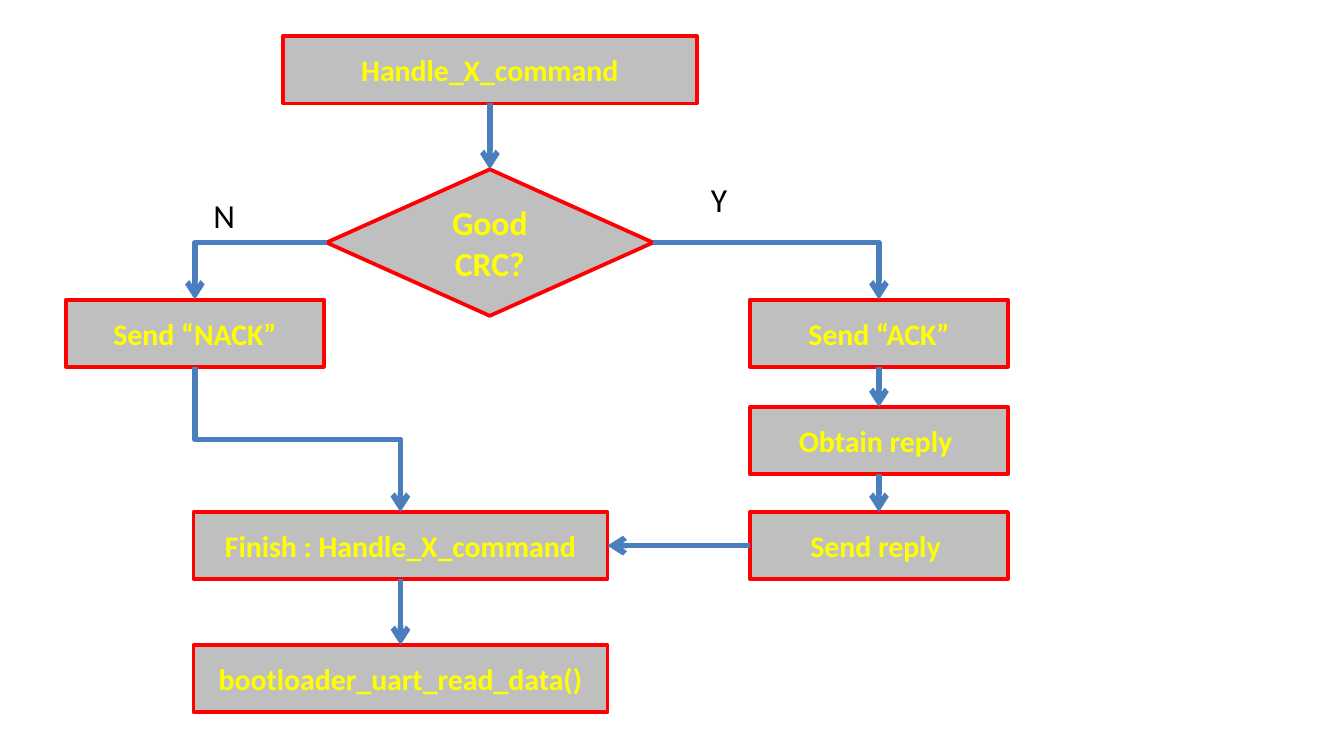
from lxml import etree
from pptx import Presentation
from pptx import util as u
from pptx.dml.color import RGBColor
from pptx.enum import shapes, text
from pptx.oxml.ns import qn

COLORS = {"fill": "BFBFBF", "border": "FF0000", "node_text": "FFFF00",
          "arrow": "4B7EBC", "label": "000000"}
UNIT = 0.1  # inches per grid column and row
TOP, LEFT, BOTTOM, RIGHT = range(4)  # connection sites of a node
NARROW, WIDE, HEIGHT = 19.2, 30.8, 5
LEFT_COLUMN, MIDDLE_COLUMN, RIGHT_COLUMN = 0, 9.5, 50.9
RECT, DIAMOND = shapes.MSO_SHAPE.RECTANGLE, shapes.MSO_SHAPE.DIAMOND

# name: text, preset, column, row, width, height, text size
NODES = {
    "start": ("Handle_X_command", RECT, 16.15, 0, WIDE, HEIGHT, 16),
    "check": ("Good CRC?", DIAMOND, 19.4, 9.9, 24.3, 10.9, 18),
    "nack": ("Send “NACK”", RECT, LEFT_COLUMN, 19.6, NARROW, HEIGHT, 16),
    "ack": ("Send “ACK”", RECT, RIGHT_COLUMN, 19.6, NARROW, HEIGHT, 16),
    "obtain": ("Obtain reply ", RECT, RIGHT_COLUMN, 27.6, NARROW, HEIGHT, 16),
    "reply": ("Send reply ", RECT, RIGHT_COLUMN, 35.4, NARROW, HEIGHT, 16),
    "finish": ("Finish : Handle_X_command", RECT, MIDDLE_COLUMN, 35.4, WIDE, HEIGHT, 16),
    "read": ("bootloader_uart_read_data()", RECT, MIDDLE_COLUMN, 45.3, WIDE, HEIGHT, 16),
}
STRAIGHT_ARROWS = [
    ("start", BOTTOM, "check", TOP), ("ack", BOTTOM, "obtain", TOP),
    ("obtain", BOTTOM, "reply", TOP), ("reply", LEFT, "finish", RIGHT),
    ("finish", BOTTOM, "read", TOP),
]
BRANCHES = [("check", RIGHT, "ack", TOP), ("check", LEFT, "nack", TOP)]
# text, column, row, width, height
LABELS = [("N", 10, 11.3, 3.6, 4), ("Y", 47, 10.1, 3.2, 4)]


def color(name):
    return RGBColor.from_string(COLORS[name])


def place(box, column, row, width, height):
    """Turn grid values inside the box into slide lengths."""
    values = (box[0] + column, box[1] + row, width, height)
    return [u.Inches(value * UNIT) for value in values]


def write(shape, words, size, color_name, bold=False):
    shape.text_frame.text = words
    font = shape.text_frame.paragraphs[0].runs[0].font
    font.name, font.size, font.bold = "Calibri", u.Pt(size), bold
    font.color.rgb = color(color_name)


def add_node(slide, box, words, preset, column, row, width, height, size):
    shape = slide.shapes.add_shape(preset, *place(box, column, row, width, height))
    shape.shadow.inherit = False
    shape.fill.solid()
    shape.fill.fore_color.rgb = color("fill")
    shape.line.color.rgb = color("border")
    shape.line.width = u.Pt(2)
    write(shape, words, size, "node_text", bold=True)
    shape.text_frame.vertical_anchor = text.MSO_ANCHOR.MIDDLE
    shape.text_frame.paragraphs[0].alignment = text.PP_ALIGN.CENTER
    return shape


def site(shape, side):
    across, down = {TOP: (0.5, 0), LEFT: (0, 0.5), BOTTOM: (0.5, 1), RIGHT: (1, 0.5)}[side]
    return (int(shape.left + across * shape.width), int(shape.top + down * shape.height))


def add_arrow(slide, kind, begin, end):
    connector = slide.shapes.add_connector(kind, *begin, *end)
    connector.line.color.rgb = color("arrow")
    connector.line.width = u.Pt(3)
    properties = connector._element.spPr
    etree.SubElement(properties.find(qn("a:ln")), qn("a:tailEnd"), type="arrow")
    etree.SubElement(properties, qn("a:effectLst"))
    return connector


def add_branch(slide, begin, end):
    """Arrow that runs sideways, then down."""
    connector = add_arrow(slide, shapes.MSO_CONNECTOR.ELBOW, begin, end)
    connector._element.spPr.find(qn("a:prstGeom")).set("prst", "bentConnector2")


def add_step(slide, begin, end):
    """Arrow that runs down, across and down: an elbow turned by 270 degrees."""
    center_x, center_y = (begin[0] + end[0]) // 2, (begin[1] + end[1]) // 2
    half_run, half_drop = (end[0] - begin[0]) // 2, (end[1] - begin[1]) // 2
    connector = add_arrow(slide, shapes.MSO_CONNECTOR.ELBOW,
                          (center_x + half_drop, center_y - half_run),
                          (center_x - half_drop, center_y + half_run))
    connector._element.spPr.find(qn("a:xfrm")).set("rot", str(270 * 60000))


def add_label(slide, box, words, *cell):
    label = slide.shapes.add_textbox(*place(box, *cell))
    label.text_frame.word_wrap = False
    label.text_frame.auto_size = text.MSO_AUTO_SIZE.SHAPE_TO_FIT_TEXT
    write(label, words, 18, "label")


def add_flowchart(slide, box):
    # Steps and decision
    nodes = {name: add_node(slide, box, *node) for name, node in NODES.items()}

    # Straight arrows, attached to their nodes
    for source, source_side, target, target_side in STRAIGHT_ARROWS:
        begin, end = site(nodes[source], source_side), site(nodes[target], target_side)
        arrow = add_arrow(slide, shapes.MSO_CONNECTOR.STRAIGHT, begin, end)
        arrow.begin_connect(nodes[source], source_side)
        arrow.end_connect(nodes[target], target_side)

    # Bent arrows
    for source, source_side, target, target_side in BRANCHES:
        add_branch(slide, site(nodes[source], source_side), site(nodes[target], target_side))
    add_step(slide, site(nodes["nack"], BOTTOM), site(nodes["finish"], TOP))

    # Branch labels
    for label in LABELS:
        add_label(slide, box, *label)


def main():
    presentation = Presentation()
    presentation.slide_width = u.Inches(10)
    presentation.slide_height = presentation.slide_width * 9 // 16
    slide = presentation.slides.add_slide(presentation.slide_layouts[6])
    add_flowchart(slide, (4.9, 2.7))
    presentation.save("out.pptx")


if __name__ == "__main__":
    main()
